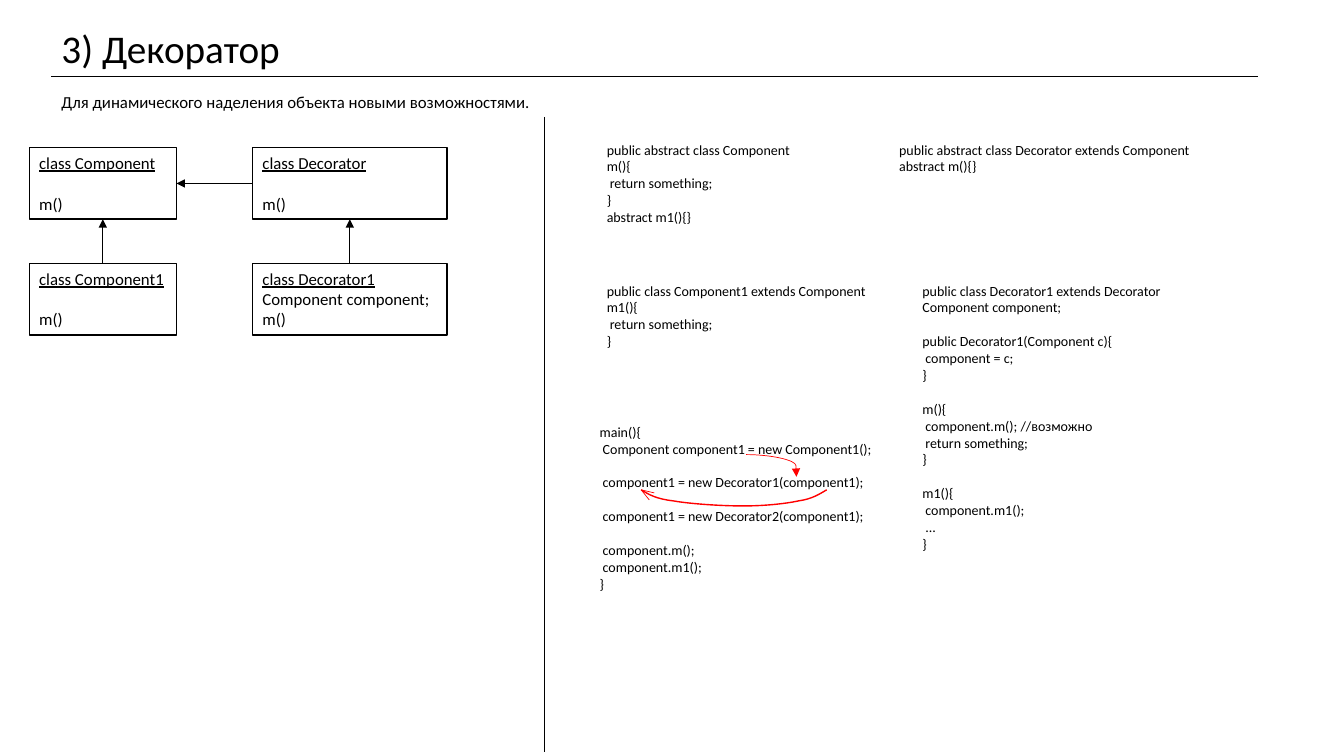
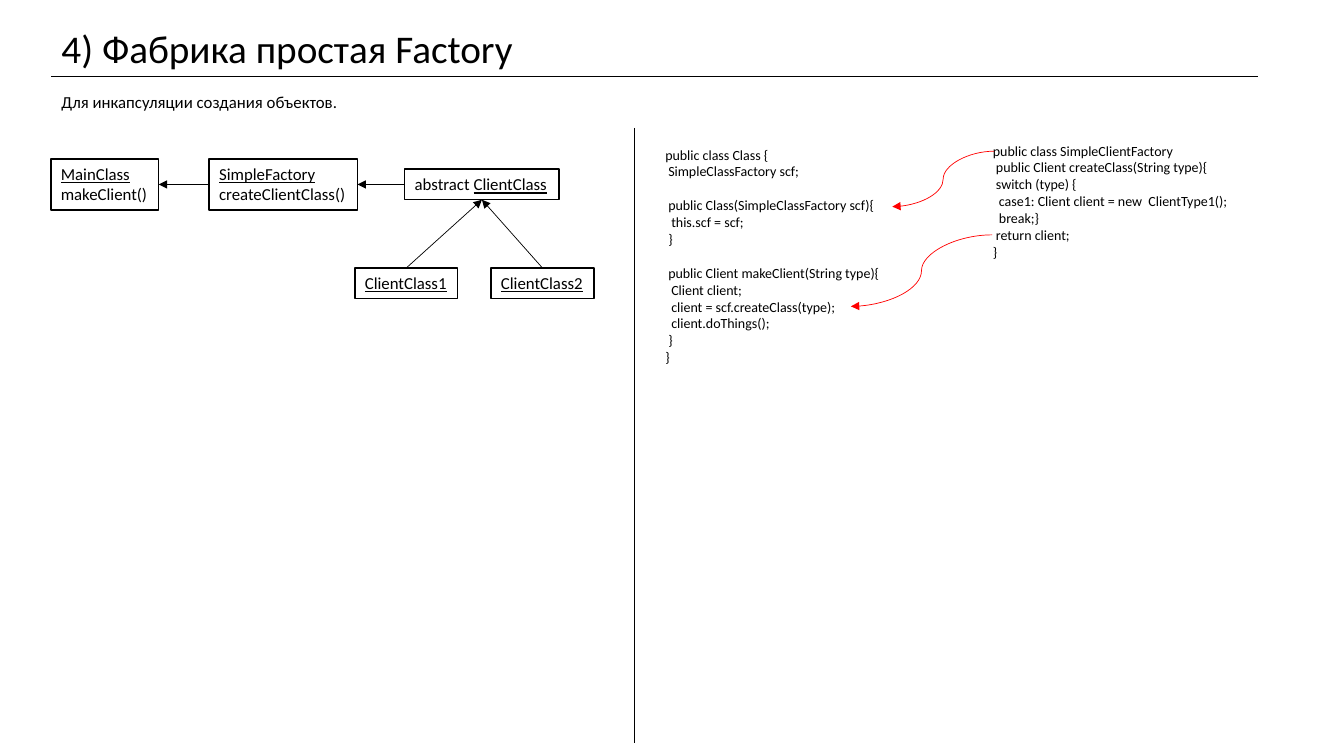
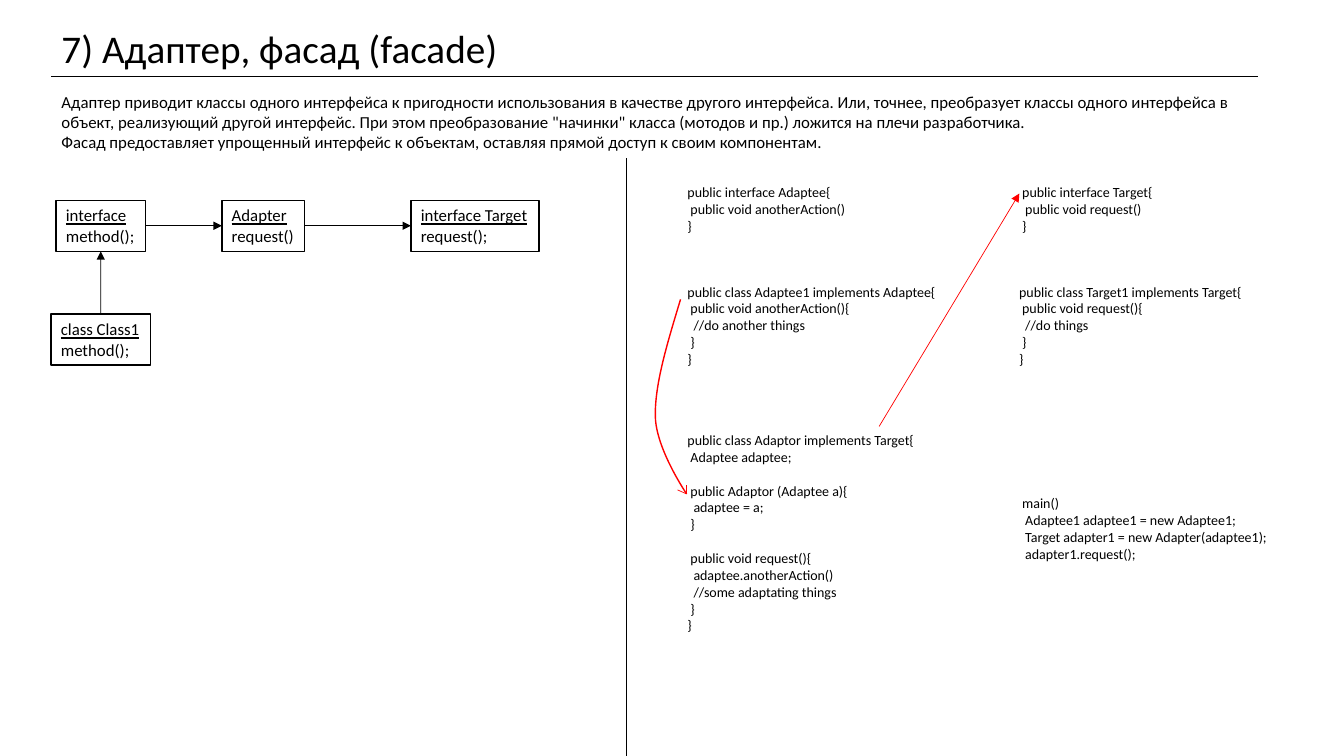
from dataclasses import dataclass
from typing import NamedTuple

from lxml.etree import SubElement
from pptx import Presentation
from pptx.dml.color import RGBColor
from pptx.enum.shapes import MSO_CONNECTOR as LINK, MSO_SHAPE
from pptx.enum.text import MSO_ANCHOR, MSO_AUTO_SIZE, PP_ALIGN
from pptx.oxml.ns import qn
from pptx.util import Inches, Pt

TOP, LEFT, BOTTOM, RIGHT = range(4)
UPWARD = (TOP, BOTTOM)
LEFTWARD = (LEFT, RIGHT)
RIGHTWARD = (RIGHT, LEFT)


@dataclass(frozen=True)
class Theme:
    font: str = "Calibri"
    ink: RGBColor = RGBColor(0, 0, 0)
    paper: RGBColor = RGBColor(255, 255, 255)
    accent: RGBColor = RGBColor(255, 0, 0)
    title: int = 28
    body: int = 12
    code: int = 10
    thin: float = 0.5
    outline: float = 1
    line_height: float = 1.22
    padding: float = 0.05
    code_indent: float = 0.03


@dataclass(frozen=True)
class Box:
    left: float
    top: float
    width: float
    height: float

    def inner(self, dx, dy, width, height):
        return Box(self.left + dx, self.top + dy, width, height)

    def point(self, dx, dy):
        return Inches(self.left + dx), Inches(self.top + dy)

    def lengths(self):
        return [Inches(n) for n in (self.left, self.top, self.width, self.height)]


class Card(NamedTuple):
    center: float
    middle: float
    width: float
    text: str


class Listing(NamedTuple):
    left: float
    top: float
    width: float
    text: str


class Arrow(NamedTuple):
    start: tuple
    end: tuple
    kind: LINK = LINK.CURVE
    bend: float = 0.5


class Sweep(NamedTuple):
    start: tuple
    curves: list
    barbs: list


THEME = Theme()
TITLE = Box(0.51, 0.19, 12.07, 0.57)
RULE_WIDTH = 11.97
PURPOSE_OFFSET = 0.67

COMPONENT_CODE = """public abstract class Component
m(){
 return something;
}
abstract m1(){}"""

DECORATOR_CODE = """public abstract class Decorator extends Component
abstract m(){}"""

COMPONENT1_CODE = """public class Component1 extends Component
m1(){
 return something;
}"""

DECORATOR1_CODE = """public class Decorator1 extends Decorator
Component component;

public Decorator1(Component c){
 component = c;
}

m(){
 component.m(); //возможно
 return something;
}

m1(){
 component.m1();
 ...
}"""

DECORATOR_MAIN_CODE = """main(){
 Component component1 = new Component1();

 component1 = new Decorator1(component1);

 component1 = new Decorator2(component1);

 component.m();
 component.m1();
}"""

FACTORY_CODE = """public class SimpleClientFactory
 public Client createClass(String type){
 switch (type) {
  case1: Client client = new  ClientType1();
  break;}
 return client;
}"""

FACTORY_USER_CODE = """public class Class {
 SimpleClassFactory scf;

 public Class(SimpleClassFactory scf){
  this.scf = scf;
 }

 public Client makeClient(String type){
  Client client;
  client = scf.createClass(type);
  client.doThings();
 }
}"""

TARGET_CODE = """public interface Target{
 public void request()
}"""

TARGET1_CODE = """public class Target1 implements Target{
 public void request(){
  //do things
 }
}"""

ADAPTEE_CODE = """public interface Adaptee{
 public void anotherAction()
}"""

ADAPTEE1_CODE = """public class Adaptee1 implements Adaptee{
 public void anotherAction(){
  //do another things
 }
}"""

ADAPTOR_CODE = """public class Adaptor implements Target{
 Adaptee adaptee;

 public Adaptor (Adaptee a){
  adaptee = a;
 }

 public void request(){
  adaptee.anotherAction()
  //some adaptating things
 }
}"""

ADAPTER_MAIN_CODE = """main()
 Adaptee1 adaptee1 = new Adaptee1;
 Target adapter1 = new Adapter(adaptee1);
 adapter1.request();"""

ADAPTER_PURPOSE = (
    "Адаптер приводит классы одного интерфейса к пригодности использования в качестве "
    "другого интерфейса. Или, точнее, преобразует классы одного интерфейса в объект, "
    'реализующий другой интерфейс. При этом преобразование "начинки" класса (мотодов и пр.) '
    "ложится на плечи разработчика.\n"
    "Фасад предоставляет упрощенный интерфейс к объектам, оставляя прямой доступ к своим "
    "компонентам."
)


def text_height(text, size):
    lines = text.count("\n") + 1
    return 2 * THEME.padding + lines * size * THEME.line_height / 72


def write(frame, text, size=THEME.body, color=THEME.ink, wrap=True):
    """A blank line becomes space, a leading space an indent, _words_ are underlined."""
    frame.word_wrap = wrap
    frame.auto_size = MSO_AUTO_SIZE.SHAPE_TO_FIT_TEXT
    frame.vertical_anchor = MSO_ANCHOR.TOP
    paragraph = None
    gap = 0
    for line in text.split("\n"):
        content = line.lstrip()
        if not content:
            gap += size * THEME.line_height
            continue
        paragraph = frame.add_paragraph() if paragraph else frame.paragraphs[0]
        paragraph.alignment = PP_ALIGN.LEFT
        paragraph.space_before = Pt(gap)
        gap = 0
        depth = len(line) - len(content)
        properties = paragraph._p.get_or_add_pPr()
        properties.set("marL", str(Inches(depth * THEME.code_indent)))
        properties.set("indent", "0")
        SubElement(properties, qn("a:buNone"))
        for index, part in enumerate(content.split("_")):
            if part:
                run = paragraph.add_run()
                run.text = part
                run.font.name = THEME.font
                run.font.size = Pt(size)
                run.font.color.rgb = color
                run.font.underline = index % 2 == 1


def stroke(line, color, width):
    line.color.rgb = color
    line.width = Pt(width)


def draw_link(slide, start, end, color=THEME.ink, kind=LINK.STRAIGHT, arrow=True, bend=0.5):
    link = slide.shapes.add_connector(kind, *start, *end)
    stroke(link.line, color, THEME.thin)
    properties = link._element.spPr
    if arrow:
        SubElement(properties.find(qn("a:ln")), qn("a:tailEnd"), type="triangle")
    if kind == LINK.CURVE:
        adjustments = next(properties.iter(qn("a:avLst")))
        SubElement(adjustments, qn("a:gd"), name="adj1", fmla=f"val {round(bend * 100000)}")
    SubElement(properties, qn("a:effectLst"))
    return link


def draw_sweep(slide, region, sweep):
    curves = [[region.point(*p) for p in curve] for curve in sweep.curves]
    tip = curves[-1][-1]
    builder = slide.shapes.build_freeform(*region.point(*sweep.start))
    builder.add_line_segments([curve[-1] for curve in curves], close=False)
    arc = builder.convert_to_shape()
    arc.shadow.inherit = False
    arc.fill.background()
    stroke(arc.line, THEME.accent, THEME.outline)
    for straight, curve in zip(list(arc._element.iter(qn("a:lnTo"))), curves):
        outline = straight.getparent()
        bezier = SubElement(outline, qn("a:cubicBezTo"))
        for x, y in curve:
            SubElement(bezier, qn("a:pt"), x=str(x - arc.left), y=str(y - arc.top))
        outline.replace(straight, bezier)
    for barb in sweep.barbs:
        draw_link(slide, tip, region.point(*barb), THEME.accent, arrow=False)


def add_topic(deck, title, purpose, purpose_height=0.3):
    slide = deck.slides.add_slide(deck.slide_layouts[1])
    heading, summary = slide.placeholders
    purpose_box = TITLE.inner(0, PURPOSE_OFFSET, TITLE.width, purpose_height)
    for holder, box, text, size in (
        (heading, TITLE, title, THEME.title),
        (summary, purpose_box, purpose, THEME.body),
    ):
        holder.left, holder.top, holder.width, holder.height = box.lengths()
        write(holder.text_frame, text, size=size)
    draw_link(slide, TITLE.point(0, TITLE.height), TITLE.point(RULE_WIDTH, TITLE.height), arrow=False)
    return slide


def add_class_diagram(slide, region, cards, links):
    drawn = {}
    for key, card in cards.items():
        height = text_height(card.text, THEME.body)
        box = region.inner(
            card.center - card.width / 2, card.middle - height / 2, card.width, height
        )
        frame = slide.shapes.add_shape(MSO_SHAPE.RECTANGLE, *box.lengths())
        frame.shadow.inherit = False
        frame.fill.solid()
        frame.fill.fore_color.rgb = THEME.paper
        stroke(frame.line, THEME.ink, THEME.outline)
        frame.text_frame.margin_right = Inches(THEME.padding)
        write(frame.text_frame, card.text)
        drawn[key] = frame
    for source, (source_side, target_side), target in links:
        link = draw_link(slide, (0, 0), (0, 0))
        link.begin_connect(drawn[source], source_side)
        link.end_connect(drawn[target], target_side)


def add_code_panel(slide, region, listings, arrows=(), sweeps=()):
    draw_link(slide, region.point(0, 0), region.point(0, region.height), arrow=False)
    for left, top, width, text in listings:
        box = region.inner(left, top, width, text_height(text, THEME.code))
        listing = slide.shapes.add_textbox(*box.lengths())
        write(listing.text_frame, text, size=THEME.code, wrap=False)
    for sweep in sweeps:
        draw_sweep(slide, region, sweep)
    for start, end, kind, bend in arrows:
        draw_link(slide, region.point(*start), region.point(*end), THEME.accent, kind, bend=bend)


def build_decorator(deck):
    slide = add_topic(
        deck, "3) Декоратор", "Для динамического наделения объекта новыми возможностями."
    )
    component_x, decorator_x = 0.73, 3.18
    abstract_y, concrete_y = 0.35, 1.5
    cards = {
        "component": Card(component_x, abstract_y, 1.46, "_class Component_\n\nm()"),
        "component1": Card(component_x, concrete_y, 1.46, "_class Component1_\n\nm()"),
        "decorator": Card(decorator_x, abstract_y, 1.93, "_class Decorator_\n\nm()"),
        "decorator1": Card(
            decorator_x, concrete_y, 1.93, "_class Decorator1_\nComponent component;\nm()"
        ),
    }
    links = [
        ("component1", UPWARD, "component"),
        ("decorator", LEFTWARD, "component"),
        ("decorator1", UPWARD, "decorator"),
    ]
    add_class_diagram(slide, Box(0.29, 1.47, 4.15, 1.85), cards, links)

    abstract_top, concrete_top = 0.19, 1.59
    listings = [
        Listing(0.52, abstract_top, 2.04, COMPONENT_CODE),
        Listing(3.42, abstract_top, 3.13, DECORATOR_CODE),
        Listing(0.52, concrete_top, 2.81, COMPONENT1_CODE),
        Listing(3.65, concrete_top, 2.61, DECORATOR1_CODE),
        Listing(0.45, 2.99, 2.94, DECORATOR_MAIN_CODE),
    ]
    wrapping = Arrow((2, 3.35), (2.5, 3.57), bend=0.99)
    reassignment = Sweep(
        start=(2.8, 3.7),
        curves=[
            [(2.73, 3.74), (2.66, 3.79), (2.52, 3.81)],
            [(2.38, 3.84), (2.17, 3.86), (1.97, 3.86)],
            [(1.76, 3.86), (1.45, 3.84), (1.28, 3.81)],
            [(1.11, 3.79), (1.04, 3.75), (0.96, 3.7)],
        ],
        barbs=[(1.09, 3.73), (1.04, 3.8)],
    )
    add_code_panel(slide, Box(5.4, 1.16, 7.93, 6.3), listings, [wrapping], [reassignment])


def build_factory(deck):
    slide = add_topic(deck, "4) Фабрика простая Factory", "Для инкапсуляции создания объектов.")
    listings = [
        Listing(3.46, 0.09, 2.57, FACTORY_CODE),
        Listing(0.21, 0.13, 2.36, FACTORY_USER_CODE),
    ]
    injection = Arrow((3.57, 0.23), (2.56, 0.78))
    product = Arrow((3.55, 1.06), (2.15, 1.77))
    add_code_panel(slide, Box(6.29, 1.27, 7.04, 6.1), listings, [injection, product])

    chain_y, concrete_y = 0.25, 1.23
    cards = {
        "main": Card(0.53, chain_y, 1.07, "_MainClass_\nmakeClient()"),
        "factory": Card(2.3, chain_y, 1.47, "_SimpleFactory_\ncreateClientClass()"),
        "client": Card(4.27, chain_y, 1.53, "abstract _ClientClass_"),
        "client1": Card(3.52, concrete_y, 1.02, "_ClientClass1_"),
        "client2": Card(4.87, concrete_y, 1.02, "_ClientClass2_"),
    }
    links = [
        ("client1", UPWARD, "client"),
        ("client2", UPWARD, "client"),
        ("client", LEFTWARD, "factory"),
        ("factory", LEFTWARD, "main"),
    ]
    add_class_diagram(slide, Box(0.51, 1.58, 5.38, 1.38), cards, links)


def build_adapter(deck):
    slide = add_topic(deck, "7) Адаптер, фасад (facade)", ADAPTER_PURPOSE, purpose_height=0.71)
    interface_x = 0.5
    chain_y, concrete_y = 0.25, 1.38
    cards = {
        "class1": Card(interface_x, concrete_y, 0.99, "_class Class1_\nmethod();"),
        "interface": Card(interface_x, chain_y, 0.89, "_interface_\nmethod();"),
        "adapter": Card(2.11, chain_y, 0.82, "_Adapter_\nrequest()"),
        "target": Card(4.21, chain_y, 1.27, "_interface Target_\nrequest();"),
    }
    links = [
        ("class1", UPWARD, "interface"),
        ("interface", RIGHTWARD, "adapter"),
        ("adapter", RIGHTWARD, "target"),
    ]
    add_class_diagram(slide, Box(0.5, 1.99, 4.85, 1.63), cards, links)

    adaptee_left, target_left = 0.51, 3.83
    interface_top, concrete_top = 0.2, 1.19
    listings = [
        Listing(target_left, interface_top, 1.53, TARGET_CODE),
        Listing(3.8, concrete_top, 2.47, TARGET1_CODE),
        Listing(adaptee_left, interface_top, 1.79, ADAPTEE_CODE),
        Listing(adaptee_left, concrete_top, 2.69, ADAPTEE1_CODE),
        Listing(adaptee_left, 2.66, 2.49, ADAPTOR_CODE),
        Listing(target_left, 3.29, 2.68, ADAPTER_MAIN_CODE),
    ]
    implementation = Arrow((2.51, 2.66), (3.9, 0.35), LINK.STRAIGHT)
    adaptation = Sweep(
        start=(0.54, 1.4),
        curves=[
            [(0.41, 1.83), (0.28, 2.25), (0.29, 2.57)],
            [(0.3, 2.89), (0.6, 3.33), (0.6, 3.33)],
        ],
        barbs=[(0.51, 3.29), (0.6, 3.24)],
    )
    add_code_panel(slide, Box(6.21, 1.57, 7.12, 5.93), listings, [implementation], [adaptation])


def main():
    deck = Presentation()
    deck.slide_width, deck.slide_height = Inches(13.33), Inches(7.5)
    for build in (build_decorator, build_factory, build_adapter):
        build(deck)
    deck.save("out.pptx")


if __name__ == "__main__":
    main()
